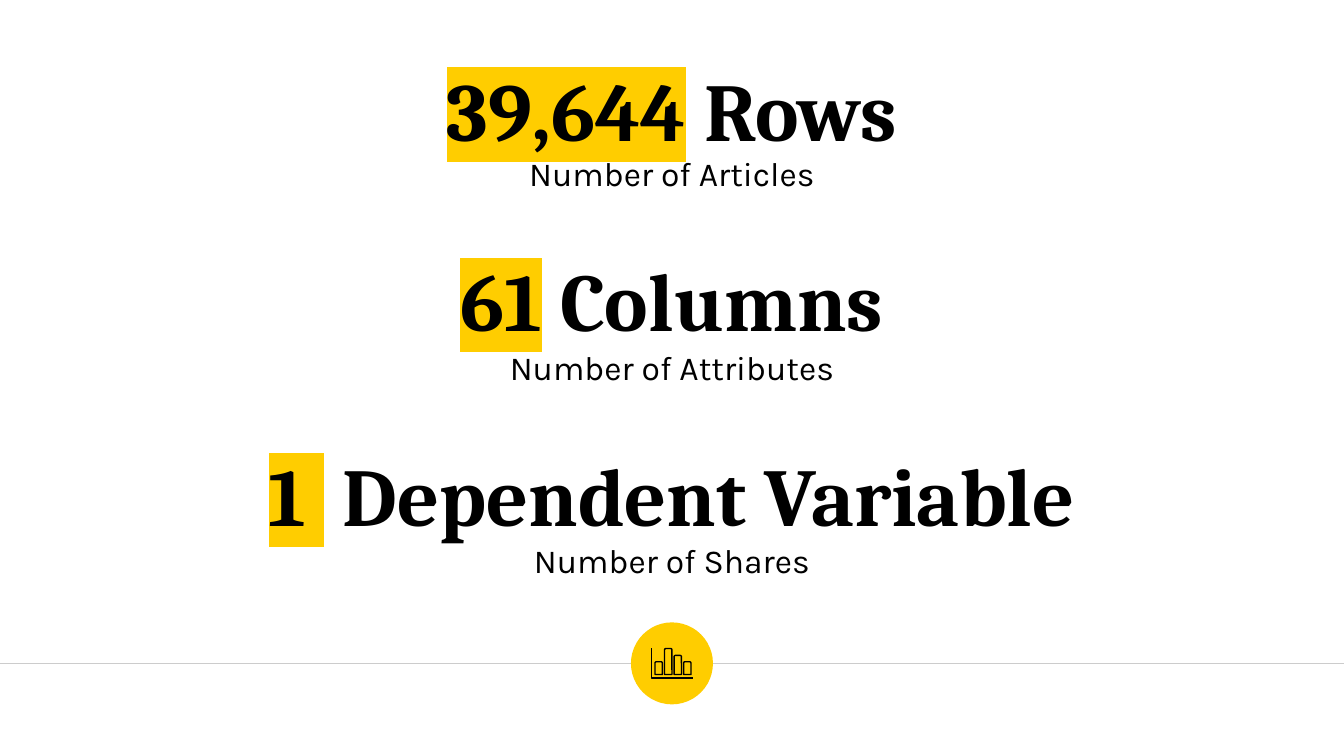
from lxml.etree import SubElement
from pptx import Presentation
from pptx.dml.color import RGBColor
from pptx.enum.shapes import MSO_CONNECTOR, MSO_SHAPE
from pptx.enum.text import MSO_ANCHOR, MSO_AUTO_SIZE, PP_ALIGN
from pptx.oxml.ns import qn
from pptx.util import Cm, Pt

COLORS = {"ink": "000000", "accent": "FFCD00", "rule": "CCCCCC"}
FACTS = [
    ("39,644", " Rows", "Number of Articles", 0.74),
    ("61", " Columns", "Number of Attributes", 4.34),
    ("1 ", " Dependent Variable", "Number of Shares", 8.03),
]
BAR_HEIGHTS = [0.24, 0.49, 0.36, 0.24]

HEADING_FONT = {"name": "Cambria", "size": Pt(44), "bold": True}
CAPTION_FONT = {"name": "Karla", "size": Pt(18), "bold": False}
FRAME = {"word_wrap": True, "auto_size": MSO_AUTO_SIZE.NONE}
FRAME |= {f"margin_{side}": Cm(0.25) for side in ("left", "top", "right", "bottom")}
SPACING = {"alignment": PP_ALIGN.CENTER, "space_before": Pt(0), "line_spacing": 1.0}

SLIDE_WIDTH, SLIDE_HEIGHT = 25.4, 14.29
TEXT_LEFT, TEXT_WIDTH = 1.9, 21.6
HEADING_HEIGHT, CAPTION_HEIGHT = 2.49, 1.3
CAPTION_TOP, CAPTION_PITCH = 2.64, 3.66
RULE_Y, BADGE_SIZE = 12.54, 1.55
AXIS_LEFT, AXIS_TOP, AXIS_RIGHT, AXIS_BOTTOM = 12.31, 12.25, 13.1, 12.82
BAR_LEFT, BAR_PITCH, BAR_WIDTH, BAR_BOTTOM = 12.38, 0.18, 0.14, 12.75


def color(key):
    return RGBColor.from_string(COLORS[key])


def apply(target, values):
    for attribute, value in values.items():
        setattr(target, attribute, value)


def place(box, top, height):
    apply(box, {"left": Cm(TEXT_LEFT), "top": Cm(top),
                "width": Cm(TEXT_WIDTH), "height": Cm(height)})


def write(box, words, font, anchor):
    apply(box.text_frame, FRAME | {"vertical_anchor": anchor})
    paragraph = box.text_frame.paragraphs[0]
    apply(paragraph, SPACING)
    for word in words:
        run = paragraph.add_run()
        run.text = word
        apply(run.font, font)
        run.font.color.rgb = color("ink")
    return paragraph.runs


def highlight(run):
    properties = run.font._element
    mark = SubElement(properties, qn("a:highlight"))
    SubElement(mark, qn("a:srgbClr")).set("val", COLORS["accent"])
    properties.find(qn("a:solidFill")).addnext(mark)


def outline(part):
    part.shadow.inherit = False
    part.fill.background()
    part.line.color.rgb = color("ink")
    part.line.width = Pt(0.75)


deck = Presentation()
deck.slide_width, deck.slide_height = Cm(SLIDE_WIDTH), Cm(SLIDE_HEIGHT)
slide = deck.slides.add_slide(deck.slide_layouts[0])
shapes = slide.shapes

rule = shapes.add_connector(MSO_CONNECTOR.STRAIGHT, 0, Cm(RULE_Y), Cm(SLIDE_WIDTH), Cm(RULE_Y))
rule.line.color.rgb = color("rule")
rule.line.width = Pt(0.75)
SubElement(rule._element.spPr, qn("a:effectLst"))

badge = shapes.add_shape(
    MSO_SHAPE.OVAL, Cm((SLIDE_WIDTH - BADGE_SIZE) / 2), Cm(RULE_Y - BADGE_SIZE / 2),
    Cm(BADGE_SIZE), Cm(BADGE_SIZE))
badge.shadow.inherit = False
badge.fill.solid()
badge.fill.fore_color.rgb = color("accent")
badge.line.fill.background()

for index, (number, label, note, top) in enumerate(FACTS):
    if index == 0:
        heading, caption = shapes.title, slide.placeholders[1]
    else:
        heading, caption = (shapes.add_textbox(0, 0, 0, 0) for _ in range(2))
    place(heading, top, HEADING_HEIGHT)
    place(caption, CAPTION_TOP + index * CAPTION_PITCH, CAPTION_HEIGHT)
    highlight(write(heading, [number, label], HEADING_FONT, MSO_ANCHOR.BOTTOM)[0])
    write(caption, [note], CAPTION_FONT, MSO_ANCHOR.TOP)

icon = shapes.add_group_shape()
axis_path = icon.shapes.build_freeform(Cm(AXIS_LEFT), Cm(AXIS_TOP))
axis_path.add_line_segments(
    [(Cm(AXIS_LEFT), Cm(AXIS_BOTTOM)), (Cm(AXIS_RIGHT), Cm(AXIS_BOTTOM))], close=False)
outline(axis_path.convert_to_shape())
for index, height in enumerate(BAR_HEIGHTS):
    outline(icon.shapes.add_shape(
        MSO_SHAPE.ROUND_2_SAME_RECTANGLE, Cm(BAR_LEFT + index * BAR_PITCH),
        Cm(BAR_BOTTOM - height), Cm(BAR_WIDTH), Cm(height)))

deck.save("out.pptx")
